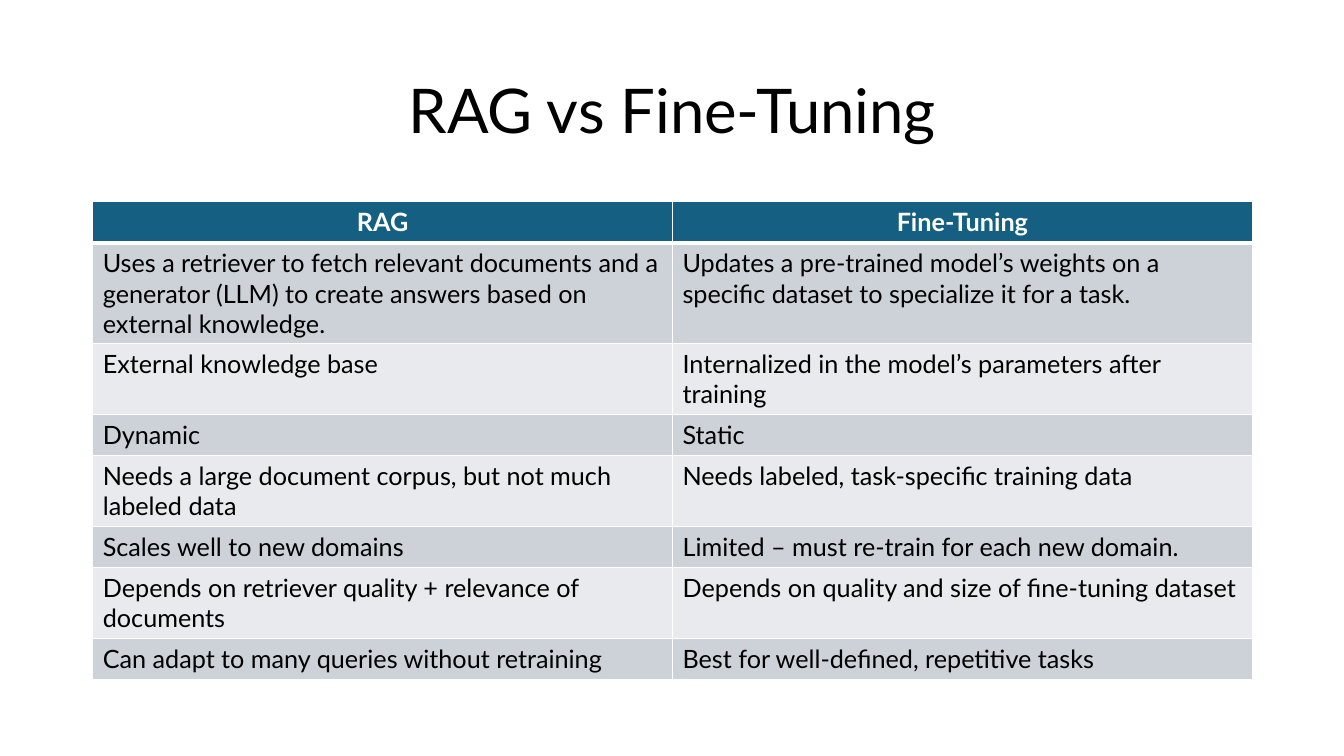
import dataclasses

import lxml.etree
import pptx
import pptx.dml.color
import pptx.enum.text
import pptx.oxml.ns
import pptx.table
import pptx.text.text
import pptx.util

Inches = pptx.util.Inches
RGBColor = pptx.dml.color.RGBColor
Align = pptx.enum.text.PP_ALIGN

FONT = "Lato"
BLACK = RGBColor(0x00, 0x00, 0x00)
WHITE = RGBColor(0xFF, 0xFF, 0xFF)
HEADER_BLUE = RGBColor(0x15, 0x60, 0x82)
BAND_DARK = RGBColor(0xCC, 0xD2, 0xD8)
BAND_LIGHT = RGBColor(0xE8, 0xEA, 0xED)

LEFT = 0.92
WIDTH = 11.5
ROW_HEIGHT = 0.41
THIN = 1
THICK = 3


@dataclasses.dataclass(frozen=True)
class Comparison:
    rag: str
    fine_tuning: str


COMPARISONS = [
    Comparison("RAG", "Fine-Tuning"),
    Comparison(
        "Uses a retriever to fetch relevant documents and a generator (LLM) "
        "to create answers based on external knowledge.",
        "Updates a pre-trained model’s weights on a specific dataset "
        "to specialize it for a task.",
    ),
    Comparison(
        "External knowledge base",
        "Internalized in the model’s parameters after training",
    ),
    Comparison("Dynamic", "Static"),
    Comparison(
        "Needs a large document corpus, but not much labeled data",
        "Needs labeled, task-specific training data",
    ),
    Comparison(
        "Scales well to new domains",
        "Limited – must re-train for each new domain.",
    ),
    Comparison(
        "Depends on retriever quality + relevance of documents",
        "Depends on quality and size of fine-tuning dataset",
    ),
    Comparison(
        "Can adapt to many queries without retraining",
        "Best for well-defined, repetitive tasks",
    ),
]


def write_text(
    frame: pptx.text.text.TextFrame,
    text: str,
    *,
    size: float,
    color: RGBColor = BLACK,
    bold: bool = False,
    align: Align = Align.LEFT,
    line_spacing: float = 1.0,
) -> None:
    para = frame.paragraphs[0]
    para.alignment = align
    para.line_spacing = line_spacing
    span = para.add_run()
    span.text = text
    span.font.name = FONT
    span.font.size = pptx.util.Pt(size)
    span.font.bold = bold
    span.font.color.rgb = color


def add_borders(cell: pptx.table._Cell, top: float, bottom: float) -> None:
    properties = cell._tc.get_or_add_tcPr()
    qn = pptx.oxml.ns.qn
    for side, width in (("L", THIN), ("R", THIN), ("T", top), ("B", bottom)):
        line = lxml.etree.SubElement(
            properties, qn(f"a:ln{side}"), w=str(pptx.util.Pt(width))
        )
        fill = lxml.etree.SubElement(line, qn("a:solidFill"))
        lxml.etree.SubElement(fill, qn("a:srgbClr"), val=str(WHITE))


def fill_row(table: pptx.table.Table, index: int, comparison: Comparison) -> None:
    header = index == 0
    table.rows[index].height = Inches(ROW_HEIGHT)
    band = BAND_DARK if index % 2 else BAND_LIGHT
    for column, text in enumerate((comparison.rag, comparison.fine_tuning)):
        cell = table.cell(index, column)
        add_borders(
            cell,
            top=THICK if index == 1 else THIN,
            bottom=THICK if header else THIN,
        )
        cell.fill.solid()
        cell.fill.fore_color.rgb = HEADER_BLUE if header else band
        write_text(
            cell.text_frame,
            text,
            size=18,
            color=WHITE if header else BLACK,
            bold=header,
            align=Align.CENTER if header else Align.LEFT,
        )


def main() -> None:
    deck = pptx.Presentation()
    deck.slide_width = Inches(13.33)
    deck.slide_height = Inches(7.5)
    page = deck.slides.add_slide(deck.slide_layouts[6])

    box = page.shapes.add_textbox(
        Inches(LEFT), Inches(0.4), Inches(WIDTH), Inches(1.45)
    )
    box.text_frame.word_wrap = True
    box.text_frame.vertical_anchor = pptx.enum.text.MSO_ANCHOR.MIDDLE
    write_text(
        box.text_frame,
        "RAG vs Fine-Tuning",
        size=44,
        align=Align.CENTER,
        line_spacing=0.9,
    )

    table = page.shapes.add_table(
        len(COMPARISONS),
        2,
        Inches(LEFT),
        Inches(2),
        Inches(WIDTH),
        Inches(ROW_HEIGHT * len(COMPARISONS)),
    ).table
    for index, comparison in enumerate(COMPARISONS):
        fill_row(table, index, comparison)

    deck.save("out.pptx")


if __name__ == "__main__":
    main()
